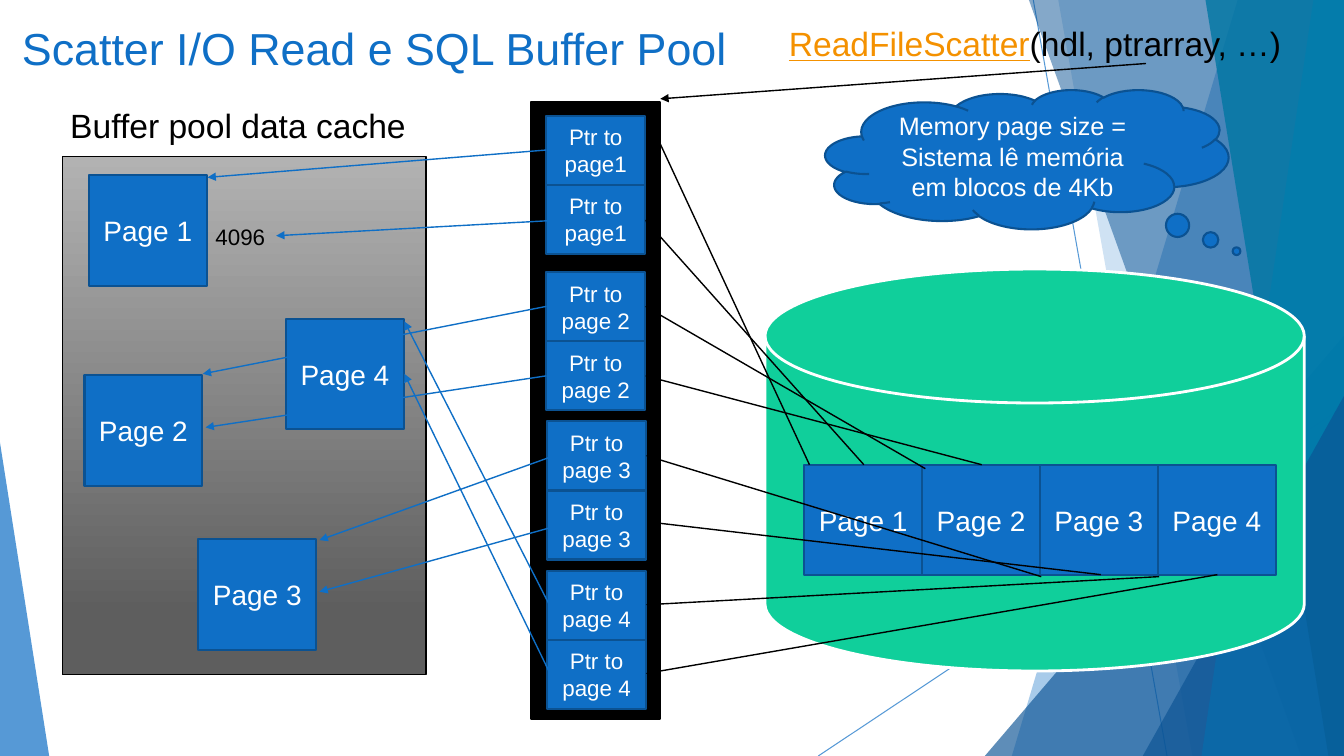
import lxml.etree
import pptx
import pptx.dml.color
import pptx.enum.shapes
import pptx.enum.text
import pptx.oxml.ns
import pptx.util

Cm, Pt = pptx.util.Cm, pptx.util.Pt
RGB = pptx.dml.color.RGBColor
Kind = pptx.enum.shapes.MSO_SHAPE
Align = pptx.enum.text.PP_ALIGN
Anchor = pptx.enum.text.MSO_ANCHOR
qn = pptx.oxml.ns.qn

BLUE = RGB(0x0F, 0x6F, 0xC6)
NAVY = RGB(0x0B, 0x53, 0x94)
EDGE = RGB(0x0B, 0x52, 0x92)
SKY = RGB(0x00, 0x9D, 0xD9)
TEAL = RGB(0x00, 0x76, 0xA3)
GREEN = RGB(0x10, 0xCF, 0x9B)
ORANGE = RGB(0xF4, 0x91, 0x00)
LIGHT = RGB(0xB2, 0xB2, 0xB2)
DARK = RGB(0x5E, 0x5E, 0x5E)
BLACK = RGB(0, 0, 0)
WHITE = RGB(0xFF, 0xFF, 0xFF)

# All places and sizes are in centimetres.
WIDE, HIGH = 33.87, 19.05
TITLE = "Scatter I/O Read e SQL Buffer Pool"
CLOUD = ["Memory page size =", "Sistema lê memória em blocos de 4Kb"]

RAYS = [((26.04, 0), (29.41, HIGH)), ((WIDE, 10.24), (20.62, HIGH))]
# Bands: top x, bottom x. Wedges: left, top, width, height, apex.
DECOR = [
    ("band", (31.19, 25.5), BLUE, 36),
    ("band", (26.67, 30.05), BLUE, 20),
    ("wedge", (24.82, 8.46, 9.05, 10.59, 1), NAVY, 66),
    ("band", (25.93, 32.79), NAVY, 50),
    ("band", (33.1, 30.28), SKY, 70),
    ("band", (30.38, 33.48), TEAL, 80),
    ("wedge", (28.8, 9.98, 5.07, 9.07, 1), NAVY, 66),
    ("wedge", (0, 11.15, 1.24, 7.9, 0), BLUE, 70),
]

PAGE = (2.97, 2.79)
CACHED = [("Page 1", 2.24, 4.42), ("Page 4", 7.21, 8.03),
          ("Page 2", 2.13, 9.45), ("Page 3", 5, 13.59)]
STORED = ["Page 1", "Page 2", "Page 3", "Page 4"]
ROW = (20.27, 11.71)

SLOT = (2.49, 1.74)
PAIRS = [("Ptr to page1", 13.77, 2.92), ("Ptr to page 2", 13.77, 6.86),
         ("Ptr to page 3", 13.79, 10.62), ("Ptr to page 4", 13.79, 14.38)]

TO_CACHE = [
    ((13.77, 3.78), (5.23, 4.47)), ((14.22, 5.54), (6.96, 5.94)),
    ((13.77, 7.72), (5.11, 9.42)), ((13.77, 9.47), (5.18, 10.77)),
    ((13.89, 11.51), (8.05, 13.61)), ((14, 13.26), (8.05, 14.91)),
    ((13.87, 15.29), (10.19, 8.1)), ((13.87, 16.99), (10.19, 9.42)),
]
FROM_DISK = [
    ((20.4, 11.71), (16.31, 2.92)), ((21.77, 11.71), (16.26, 5.54)),
    ((23.32, 11.81), (16.26, 7.72)), ((24.74, 11.71), (16.26, 9.47)),
    ((26.24, 14.53), (16.28, 11.48)), ((27.74, 14.48), (16.41, 13.16)),
    ((29.21, 14.53), (16.28, 15.24)), ((30.68, 14.48), (16.28, 16.97)),
]
CALL = ((28.88, 1.6), (16.64, 2.49))

deck = pptx.Presentation()
deck.slide_width, deck.slide_height = Cm(WIDE), Cm(HIGH)
slide = deck.slides.add_slide(deck.slide_layouts[5])
shapes = slide.shapes


def fade(part, share):
    """Set the opacity, in percent, of the colour inside an XML part."""
    color = next(part.iter(qn("a:srgbClr")))
    lxml.etree.SubElement(color, qn("a:alpha")).set("val", str(share * 1000))


def style(font, size, color):
    font.name, font.size, font.color.rgb = "Arial", Pt(size), color


def block(kind, place, fill, edge=EDGE, width=1.5, lines=(), size=20):
    shape = shapes.add_shape(kind, *map(Cm, place))
    shape.shadow.inherit = False
    if fill:
        shape.fill.solid()
        shape.fill.fore_color.rgb = fill
    if edge is None:
        shape.line.fill.background()
    else:
        shape.line.color.rgb, shape.line.width = edge, Pt(width)
    frame = shape.text_frame
    frame.vertical_anchor = Anchor.MIDDLE
    for i, text in enumerate(lines):
        para = frame.add_paragraph() if i else frame.paragraphs[0]
        para.text, para.alignment = text, Align.CENTER
        style(para.font, size, WHITE)
    return shape


def link(ends, color, width=1, arrow=True):
    start, stop = ends
    line = shapes.add_connector(pptx.enum.shapes.MSO_CONNECTOR.STRAIGHT,
                                *map(Cm, start + stop))
    line.line.color.rgb, line.line.width = color, Pt(width)
    if arrow:
        tail = lxml.etree.SubElement(line.line._get_or_add_ln(), qn("a:tailEnd"))
        tail.set("type", "triangle")
    lxml.etree.SubElement(line._element.spPr, qn("a:effectLst"))
    return line


def label(place, runs, size):
    frame = shapes.add_textbox(*map(Cm, place)).text_frame
    frame.word_wrap = False
    para = frame.paragraphs[0]
    for text, color, under in runs:
        run = para.add_run()
        run.text = text
        style(run.font, size, color)
        run.font.underline = under


def band(top, base):
    pen = shapes.build_freeform(Cm(top), 0)
    corners = [(WIDE, 0), (WIDE, HIGH), (base, HIGH)]
    pen.add_line_segments([(Cm(x), Cm(y)) for x, y in corners])
    return pen.convert_to_shape()


for ends in RAYS:
    fade(link(ends, BLUE, 0.75, False)._element.spPr, 70)
for form, place, color, share in DECOR:
    if form == "band":
        shape = band(*place)
        shape.shadow.inherit = False
        shape.fill.solid()
        shape.fill.fore_color.rgb = color
        shape.line.fill.background()
    else:
        shape = block(Kind.ISOSCELES_TRIANGLE, place[:4], color, None)
        shape.adjustments[0] = place[4]
    fade(shape._element.spPr, share)

title = shapes.title
title.left, title.top, title.width, title.height = map(Cm, (0.3, 0.28, 30.48, 2.26))
title.text_frame.text = TITLE
title.text_frame.vertical_anchor = Anchor.TOP
title.text_frame.margin_top = Cm(0.25)
title.text_frame.paragraphs[0].alignment = Align.LEFT
style(title.text_frame.paragraphs[0].font, 32, BLUE)

block(Kind.FLOWCHART_MAGNETIC_DISK, (19.28, 6.78, 13.59, 10.13), GREEN, WHITE, 2)
cache = block(Kind.RECTANGLE, (1.57, 3.94, 9.17, 13.06), None, BLACK, 1)
cache.fill.gradient()
cache.fill.gradient_angle = 270
for stop, color, spot in zip(cache.fill.gradient_stops, (LIGHT, DARK), (0, 0.88)):
    stop.color.rgb, stop.position = color, spot
label((1.52, 2.51, 9.27, 1.27), [("Buffer pool data cache", BLACK, False)], 24)

stored = [(name, ROW[0] + i * PAGE[0], ROW[1]) for i, name in enumerate(STORED)]
for name, x, y in CACHED + stored:
    block(Kind.RECTANGLE, (x, y, *PAGE), BLUE, lines=[name])

block(Kind.RECTANGLE, (13.39, 2.57, 3.25, 15.54), BLACK, BLACK)
for name, x, y in PAIRS:
    for i in range(2):
        block(Kind.RECTANGLE, (x, y + i * SLOT[1], *SLOT), BLUE, lines=[name], size=16)

cloud = block(Kind.CLOUD_CALLOUT, (20.8, 2.26, 10.16, 3.51), BLUE, lines=CLOUD, size=18)
cloud.adjustments[0], cloud.adjustments[1] = 0.52, 0.66

label((5.18, 5.49, 1.78, 0.94), [("4096", BLACK, False)], 16)
for ends in TO_CACHE:
    link(ends, BLUE)
for ends in FROM_DISK:
    link(ends, BLACK)
label((19.63, 0.46, 13.18, 1.27),
      [("ReadFileScatter", ORANGE, True), ("(hdl, ptrarray, …)", BLACK, False)], 24)
link(CALL, BLACK)

deck.save("out.pptx")
